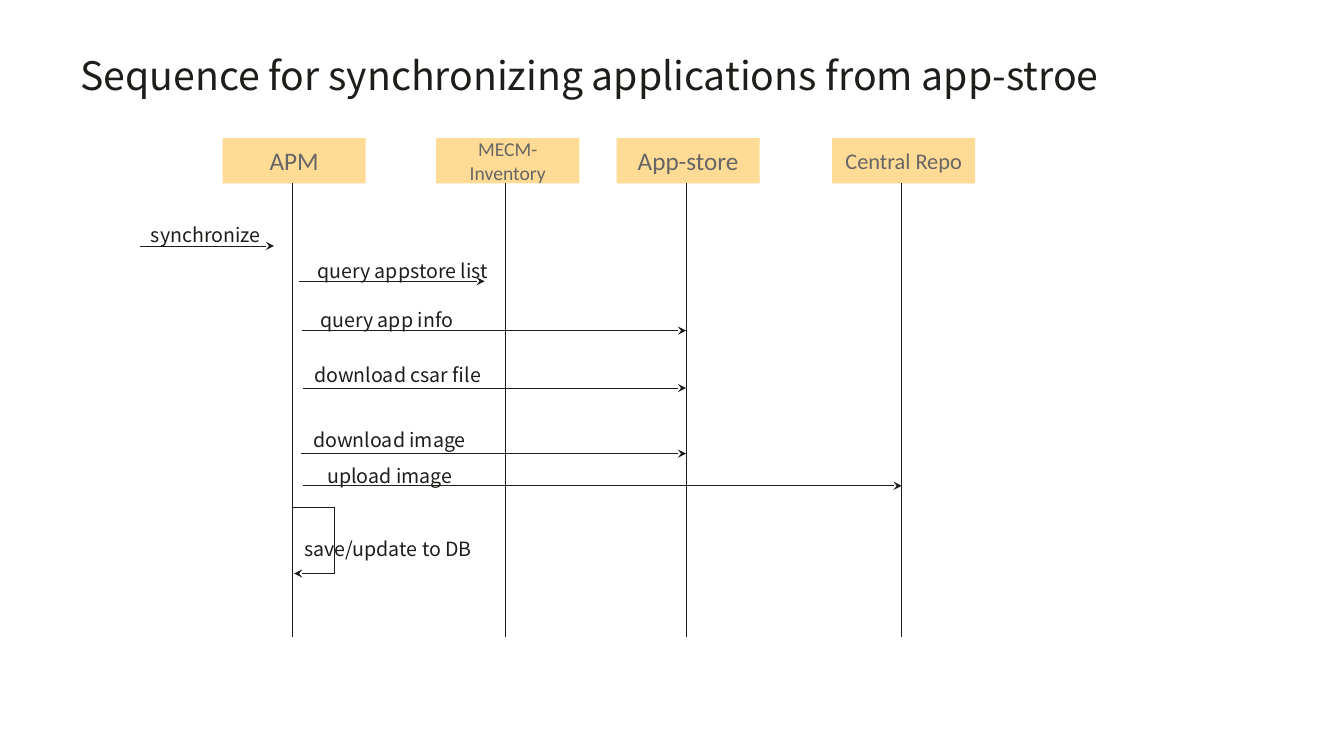
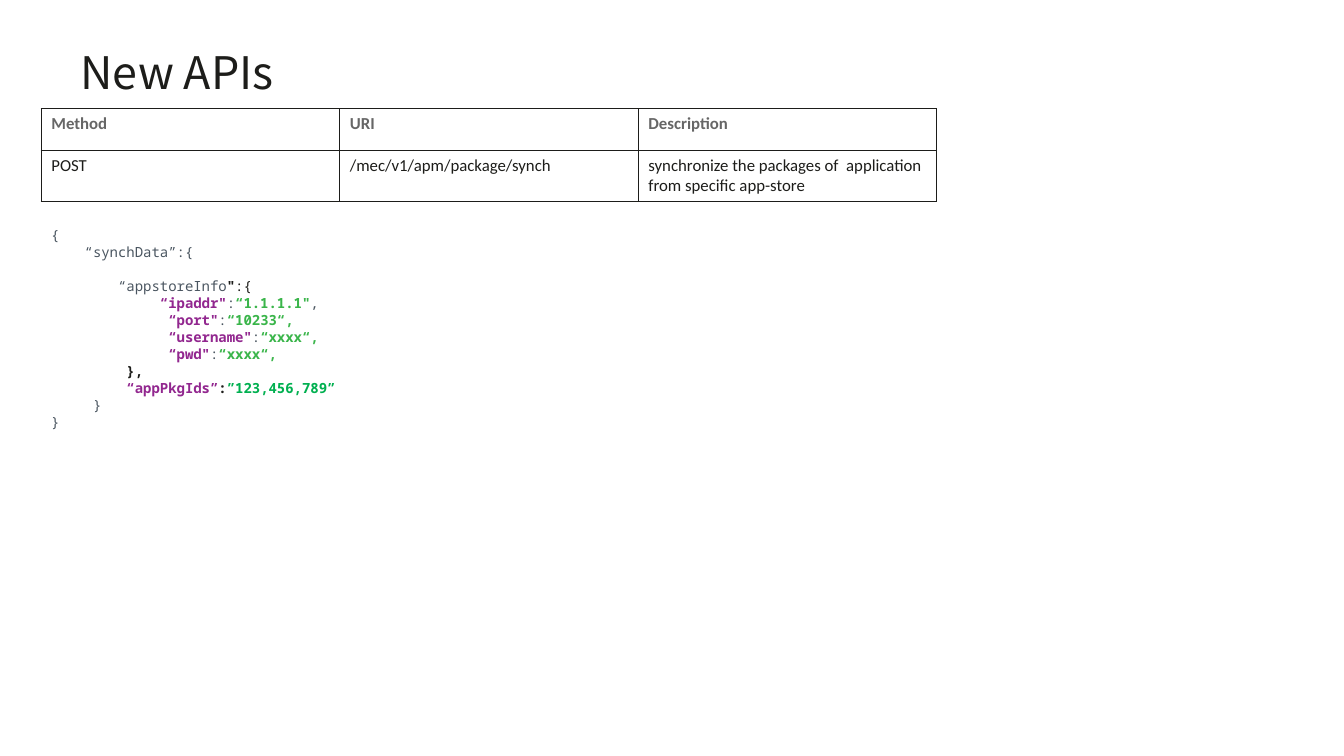
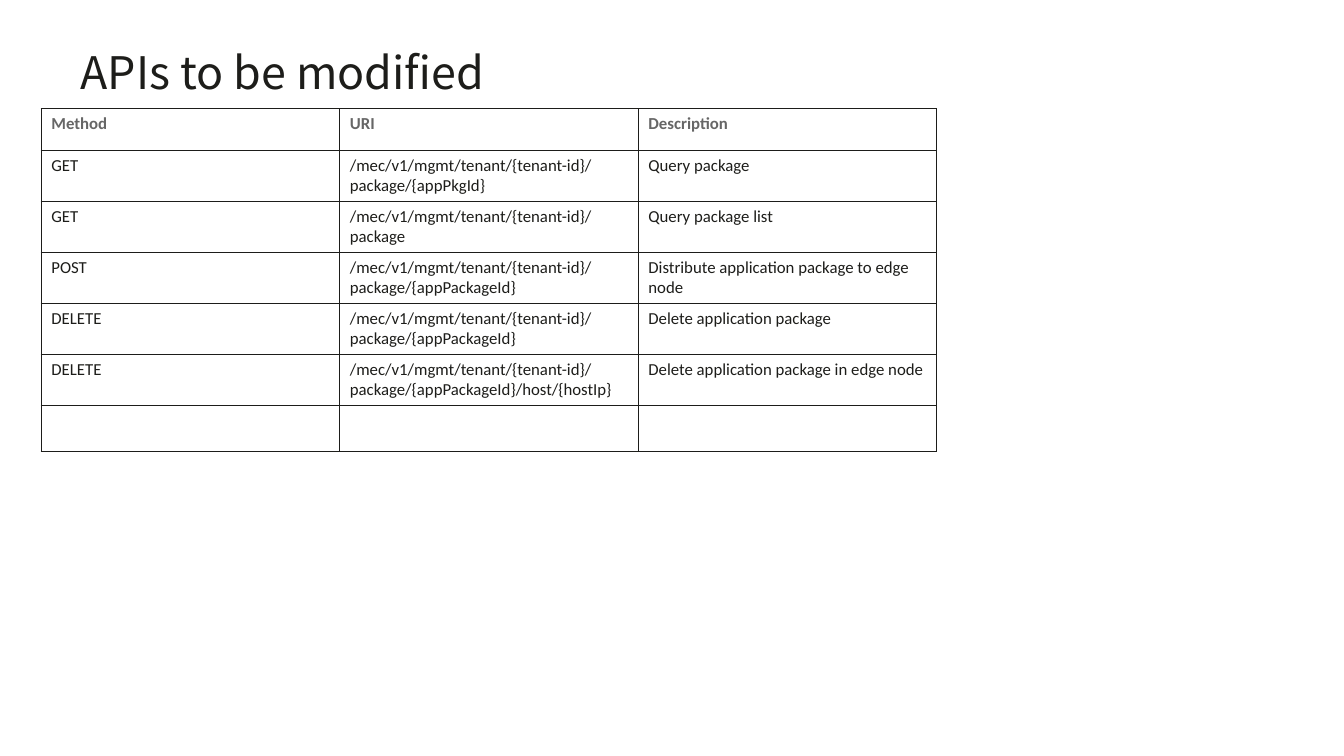
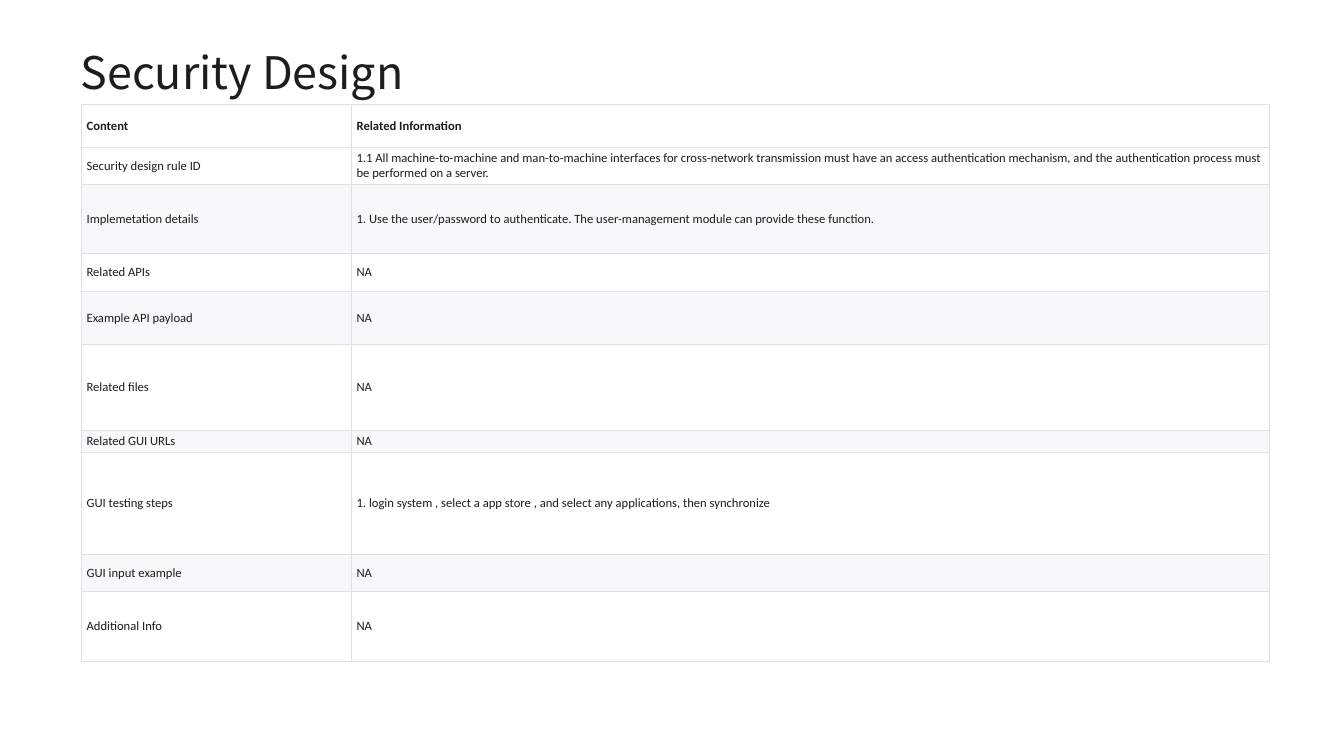
from lxml import etree
from pptx import Presentation
from pptx.dml.color import RGBColor
from pptx.enum.shapes import MSO_CONNECTOR, MSO_SHAPE
from pptx.enum.text import MSO_ANCHOR, MSO_AUTO_SIZE, PP_ALIGN
from pptx.oxml.ns import qn
from pptx.util import Inches, Pt

INK = RGBColor(0x1D, 0x1D, 0x1A)
GREY = RGBColor(0x66, 0x66, 0x66)
SLATE = RGBColor(0x4A, 0x55, 0x60)
PURPLE = RGBColor(0x92, 0x27, 0x8F)
LIME = RGBColor(0x3A, 0xB5, 0x4A)
GREEN = RGBColor(0x00, 0xB0, 0x50)
SAND = RGBColor(0xFF, 0xDB, 0x95)
WHITE = RGBColor(0xFF, 0xFF, 0xFF)
MIST = RGBColor(0xF6, 0xF8, 0xFA)
SILVER = RGBColor(0xDF, 0xE2, 0xE5)

SANS = "Noto Sans CJK SC"
BODY = "Calibri"
MONO = "Noto Sans Mono"

STRAIGHT = MSO_CONNECTOR.STRAIGHT
RECTANGLE = MSO_SHAPE.RECTANGLE
TOP, MIDDLE = MSO_ANCHOR.TOP, MSO_ANCHOR.MIDDLE
LEFT, CENTER = PP_ALIGN.LEFT, PP_ALIGN.CENTER
NO_FIT, GROW = MSO_AUTO_SIZE.NONE, MSO_AUTO_SIZE.SHAPE_TO_FIT_TEXT
TITLE_ONLY = 5


def add_line(slide, x1, y1, x2, y2, arrow=False):
    line = slide.shapes.add_connector(
        STRAIGHT, Inches(x1), Inches(y1), Inches(x2), Inches(y2))
    line.line.color.rgb = INK
    line.line.width = Pt(0.5)
    if arrow:
        etree.SubElement(line.line._get_or_add_ln(), qn("a:tailEnd"), type="stealth")
    etree.SubElement(line._element.spPr, qn("a:effectLst"))


def add_grid_table(slide, left, top, widths, heights, rows, size, header_color,
                   border, border_width, fills, anchor=TOP, insets=(0.1, 0.05)):
    """Add a table with even borders; fills are used in turn below the header."""
    table = slide.shapes.add_table(
        len(rows), len(widths), Inches(left), Inches(top),
        Inches(sum(widths)), Inches(sum(heights))).table
    table.first_row = table.horz_banding = False
    for column, width in zip(table.columns, widths):
        column.width = Inches(width)
    for r, (texts, height) in enumerate(zip(rows, heights)):
        table.rows[r].height = Inches(height)
        for c, text in enumerate(texts):
            cell = table.cell(r, c)
            cell.vertical_anchor = anchor
            cell.margin_left = cell.margin_right = Inches(insets[0])
            cell.margin_top = cell.margin_bottom = Inches(insets[1])
            for side in ("a:lnL", "a:lnR", "a:lnT", "a:lnB"):
                edge = etree.SubElement(
                    cell._tc.get_or_add_tcPr(), qn(side), w=str(Pt(border_width)))
                paint = etree.SubElement(edge, qn("a:solidFill"))
                etree.SubElement(paint, qn("a:srgbClr"), val=str(border))
            cell.fill.solid()
            cell.fill.fore_color.rgb = fills[(r - 1) % len(fills)] if r else WHITE
            para = cell.text_frame.paragraphs[0]
            para.text = text
            para.font.name = BODY
            para.font.size = Pt(size)
            para.font.bold = r == 0
            para.font.color.rgb = INK if r else header_color


deck = Presentation()
deck.slide_width, deck.slide_height = Inches(13.34), Inches(7.5)

# Titled slides
slides = []
for heading, size in [
    ("Sequence for synchronizing applications from app-stroe", 28),
    ("New APIs", 32),
    ("APIs to be modified", 32),
    ("Security Design", 32),
]:
    slide = deck.slides.add_slide(deck.slide_layouts[TITLE_ONLY])
    title = slide.shapes.title
    title.left, title.top = Inches(0.8), Inches(0.5)
    title.width, title.height = Inches(11.75), Inches(1.09)
    frame = title.text_frame
    frame.margin_left = frame.margin_right = frame.margin_top = frame.margin_bottom = 0
    frame.vertical_anchor = TOP
    frame.auto_size = NO_FIT
    frame.word_wrap = True
    para = frame.paragraphs[0]
    para.text = heading
    para.alignment = LEFT
    para.line_spacing = Pt(34.3)
    para.font.name = SANS
    para.font.size = Pt(size)
    para.font.color.rgb = INK
    slides.append(slide)
sequence, new_apis, changed_apis, security = slides

# Sequence diagram: participants and their lifelines
HEAD_TOP, HEAD_WIDTH, HEAD_HEIGHT = 1.37, 1.42, 0.45
HEAD_BOTTOM = HEAD_TOP + HEAD_HEIGHT
LIFELINE_END = 6.32
APM, INVENTORY, STORE, REPO = 2.9, 5.02, 6.81, 8.95

for name, lifeline, size in [
    ("APM", APM, 18),
    ("MECM-Inventory", INVENTORY, 14),
    ("App-store", STORE, 18),
    ("Central Repo", REPO, 16),
]:
    box = sequence.shapes.add_shape(
        RECTANGLE, Inches(lifeline - 0.69), Inches(HEAD_TOP),
        Inches(HEAD_WIDTH), Inches(HEAD_HEIGHT))
    box.shadow.inherit = False
    box.fill.solid()
    box.fill.fore_color.rgb = SAND
    box.line.fill.background()
    box.text_frame.word_wrap = True
    box.text_frame.vertical_anchor = MIDDLE
    para = box.text_frame.paragraphs[0]
    para.text = name
    para.alignment = CENTER
    para.font.name = BODY
    para.font.size = Pt(size)
    para.font.color.rgb = GREY
    add_line(sequence, lifeline, HEAD_BOTTOM, lifeline, LIFELINE_END)

# Messages: arrow start, end and height
for start, end, y in [
    (1.39, 2.72, 2.44),
    (2.97, 4.81, 2.79),
    (3, STORE, 3.28),
    (3.01, STORE, 3.85),
    (2.99, STORE, 4.5),
    (3.01, REPO, 4.82),
]:
    add_line(sequence, start, y, end, y, arrow=True)

# Message of APM to itself
LOOP_RIGHT, LOOP_TOP, LOOP_BOTTOM = 3.32, 5.03, 5.69
add_line(sequence, APM, LOOP_TOP, LOOP_RIGHT, LOOP_TOP)
add_line(sequence, LOOP_RIGHT, LOOP_TOP, LOOP_RIGHT, LOOP_BOTTOM)
add_line(sequence, LOOP_RIGHT, LOOP_BOTTOM, APM + 0.02, LOOP_BOTTOM, arrow=True)

for label, left, top, width in [
    ("synchronize", 1.4, 1.92, 1.32),
    ("query appstore list", 3.05, 2.27, 1.97),
    ("query app info", 3.08, 2.76, 1.59),
    ("download csar file", 3.02, 3.31, 1.91),
    ("download image", 3.01, 3.95, 1.78),
    ("upload image", 3.15, 4.31, 1.5),
    ("save/update to DB", 2.92, 5.03, 1.95),
]:
    box = sequence.shapes.add_textbox(
        Inches(left), Inches(top), Inches(width), Inches(0.58))
    box.text_frame.word_wrap = False
    box.text_frame.auto_size = GROW
    para = box.text_frame.paragraphs[0]
    para.text = label
    para.line_spacing = Pt(34.4)
    para.font.name = SANS
    para.font.size = Pt(14)
    para.font.color.rgb = INK

# API tables
API_HEADER = ("Method", "URI", "Description")
TENANT = "/mec/v1/mgmt/tenant/{tenant-id}/package"
for slide, calls in [
    (new_apis, [
        ("POST", "/mec/v1/apm/package/synch",
         "synchronize the packages of  application from specific app-store"),
    ]),
    (changed_apis, [
        ("GET", TENANT + "/{appPkgId}", "Query package"),
        ("GET", TENANT, "Query package list"),
        ("POST", TENANT + "/{appPackageId}",
         "Distribute application package to edge node"),
        ("DELETE", TENANT + "/{appPackageId}", "Delete application package"),
        ("DELETE", TENANT + "/{appPackageId}/host/{hostIp}",
         "Delete application package in edge node"),
        ("", "", ""),
    ]),
]:
    add_grid_table(
        slide, 0.41, 1.08, [2.963] * 3, [0.41] + [0.46] * len(calls),
        [API_HEADER] + calls, size=12, header_color=GREY,
        border=INK, border_width=1, fills=[WHITE])

# Request body: each line is a list of (text, colour, bold)
payload = [
    [("{", SLATE, False)],
    [("    “synchData”:{", SLATE, False)],
    [("        “appstoreInfo", SLATE, False), ("\"", INK, True), (":{", INK, False)],
    [("             “ipaddr\"", PURPLE, True), (":", SLATE, False),
     ("“1.1.1.1\"", LIME, True), (",", SLATE, False)],
    [("              “port\"", PURPLE, True), (":", SLATE, False),
     ("“10233“,", LIME, True)],
    [("              “username\"", PURPLE, True), (":", SLATE, False),
     ("“xxxx“,", LIME, True)],
    [("              “pwd\"", PURPLE, True), (":", SLATE, False),
     ("“xxxx“,", LIME, True)],
    [("         },", INK, True)],
    [("         “appPkgIds”", PURPLE, True), (":", INK, True),
     ("”123,456,789”", GREEN, True)],
    [("     }", SLATE, False)],
    [("}", SLATE, False)],
]
CODE_PITCH = Pt(12.1)
GAP_BEFORE = 2
box = new_apis.shapes.add_textbox(
    Inches(0.41), Inches(2.2), Inches(10.15), Inches(2.12))
frame = box.text_frame
frame.word_wrap = True
frame.auto_size = GROW
for number, spans in enumerate(payload):
    para = frame.add_paragraph() if number else frame.paragraphs[0]
    para.line_spacing = CODE_PITCH
    if number == GAP_BEFORE:
        para.space_before = CODE_PITCH
    para.font.name = MONO
    para.font.size = Pt(10)
    for text, color, bold in spans:
        span = para.add_run()
        span.text = text
        span.font.color.rgb = color
        span.font.bold = bold

# Security table
add_grid_table(
    security, 0.81, 1.04, [2.68, 9.11],
    [0.42, 0.37, 0.69, 0.37, 0.53, 0.85, 0.22, 1.01, 0.37, 0.69],
    [
        ("Content", "Related Information"),
        ("Security design rule ID",
         "1.1 All machine-to-machine and man-to-machine interfaces for cross-network "
         "transmission must have an access authentication mechanism, and the "
         "authentication process must be performed on a server."),
        ("Implemetation details",
         "1. Use the user/password to authenticate. The user-management module can "
         "provide these function."),
        ("Related APIs", "NA"),
        ("Example API payload", "NA"),
        ("Related files", "NA"),
        ("Related GUI URLs", "NA"),
        ("GUI testing steps",
         "1. login system , select a app store , and select any applications, "
         "then synchronize"),
        ("GUI input example", "NA"),
        ("Additional Info", "NA"),
    ],
    size=9, header_color=INK, border=SILVER, border_width=0.75,
    fills=[WHITE, MIST], anchor=MIDDLE, insets=(0.05, 0.02))

deck.save("out.pptx")
